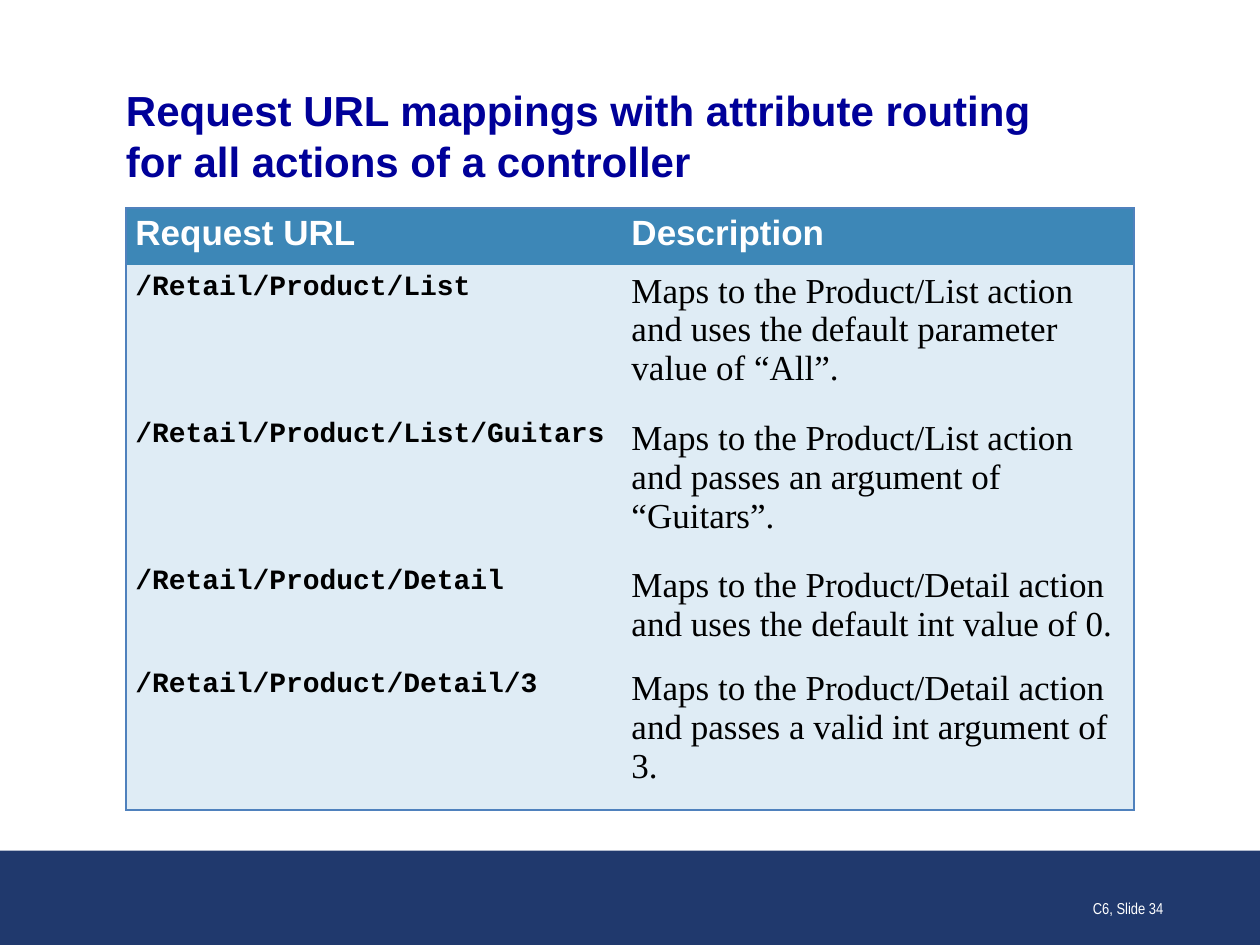
from lxml import etree
from pptx import Presentation
from pptx.dml.color import RGBColor
from pptx.enum.shapes import MSO_SHAPE
from pptx.enum.text import MSO_ANCHOR, PP_ALIGN
from pptx.oxml.ns import qn
from pptx.util import Cm, Pt

RECTANGLE = MSO_SHAPE.RECTANGLE
MIDDLE, BOTTOM = MSO_ANCHOR.MIDDLE, MSO_ANCHOR.BOTTOM
LEFT, RIGHT = PP_ALIGN.LEFT, PP_ALIGN.RIGHT

NAVY = RGBColor(0x20, 0x39, 0x6D)
TITLE_BLUE = RGBColor(0x00, 0x00, 0x99)
HEADER_BLUE = RGBColor(0x3D, 0x87, 0xB7)
PALE_BLUE = RGBColor(0xDF, 0xEC, 0xF5)
BORDER_BLUE = RGBColor(0x4F, 0x81, 0xBD)
WHITE = RGBColor(0xFF, 0xFF, 0xFF)
BLACK = RGBColor(0x00, 0x00, 0x00)

PLAIN_TABLE_STYLE = "{2D5ABB26-0587-4C30-8999-92F81FD0307C}"
CELL_MARGINS = {"margin_left": Cm(0.19), "margin_right": Cm(0.19),
                "margin_top": Cm(0.13), "margin_bottom": Cm(0.13)}
NO_MARGINS = dict.fromkeys(CELL_MARGINS, 0)

ROUTES = [
    ("Request URL", "Description"),
    ("/Retail/Product/List",
     "Maps to the Product/List action and uses the default parameter value of “All”."),
    ("/Retail/Product/List/Guitars",
     "Maps to the Product/List action and passes an argument of “Guitars”."),
    ("/Retail/Product/Detail",
     "Maps to the Product/Detail action and uses the default int value of 0."),
    ("/Retail/Product/Detail/3",
     "Maps to the Product/Detail action and passes a valid int argument of 3."),
]


def apply(target, values):
    for name, value in values.items():
        setattr(target, name, value)


class SlideBuilder:
    FONTS = {
        "title": ({"name": "Arial", "size": Pt(24), "bold": True}, TITLE_BLUE),
        "header": ({"name": "Arial", "size": Pt(20), "bold": True}, WHITE),
        "url": ({"name": "Courier New", "size": Pt(16), "bold": True}, BLACK),
        "description": ({"name": "Times New Roman", "size": Pt(20), "bold": False}, BLACK),
        "footer": ({"name": "Arial Narrow", "size": Pt(9), "bold": False}, WHITE),
    }

    def __init__(self, slide):
        self.slide = slide

    def fill_text(self, text_frame, text, style, alignment=LEFT):
        text_frame.text = text
        values, color = self.FONTS[style]
        for paragraph in text_frame.paragraphs:
            paragraph.alignment = alignment
            apply(paragraph.font, values)
            paragraph.font.color.rgb = color

    def band(self, left, top, width, height, color):
        shape = self.slide.shapes.add_shape(RECTANGLE, left, top, width, height)
        shape.shadow.inherit = False
        shape.fill.solid()
        shape.fill.fore_color.rgb = color
        shape.line.fill.background()

    def text(self, left, top, width, height, text, style, alignment=LEFT, **frame):
        text_frame = self.slide.shapes.add_textbox(left, top, width, height).text_frame
        apply(text_frame, {"word_wrap": True, **frame})
        self.fill_text(text_frame, text, style, alignment)

    def border(self, cell, sides):
        properties = cell._tc.get_or_add_tcPr()
        for index, side in enumerate(sides):
            line = etree.Element(qn("a:" + side), w=str(Pt(1)))
            fill = etree.SubElement(line, qn("a:solidFill"))
            etree.SubElement(fill, qn("a:srgbClr"), val=str(BORDER_BLUE))
            properties.insert(index, line)

    def table(self, left, top, widths, heights, rows):
        frame = self.slide.shapes.add_table(
            len(rows), len(widths), left, top, sum(widths), sum(heights))
        table = frame.table
        table._tbl.tblPr.find(qn("a:tableStyleId")).text = PLAIN_TABLE_STYLE
        for column, width in zip(table.columns, widths):
            column.width = width
        for row, height in zip(table.rows, heights):
            row.height = height

        last_row, last_column = len(rows) - 1, len(widths) - 1
        for i, values in enumerate(rows):
            for j, value in enumerate(values):
                cell = table.cell(i, j)
                apply(cell, CELL_MARGINS)
                cell.fill.solid()
                cell.fill.fore_color.rgb = PALE_BLUE if i else HEADER_BLUE
                self.fill_text(cell.text_frame, value,
                               ("url", "description")[j] if i else "header")
                # Only the outer edge of the table is ruled
                edges = {"lnL": j == 0, "lnR": j == last_column,
                         "lnT": i == 0, "lnB": i == last_row}
                self.border(cell, [side for side, ruled in edges.items() if ruled])


def main():
    presentation = Presentation()
    presentation.slide_width, presentation.slide_height = Cm(25.4), Cm(19.05)
    builder = SlideBuilder(presentation.slides.add_slide(presentation.slide_layouts[6]))

    # Footer band
    builder.band(0, Cm(17.15), Cm(25.4), Cm(1.9), NAVY)

    # Title
    builder.text(Cm(2.54), Cm(1.7), Cm(20.32), Cm(2.06),
                 "Request URL mappings with attribute routing\v"
                 "for all actions of a controller",
                 "title", vertical_anchor=MIDDLE, **NO_MARGINS)

    # Route table
    tall = Cm(2.97)
    builder.table(Cm(2.54), Cm(4.19), [Cm(10), Cm(10.32)],
                  [Cm(1.16), tall, tall, Cm(2.07), tall], ROUTES)

    # Slide number
    builder.text(Cm(18.42), Cm(17.35), Cm(5.28), Cm(1.27), "C6, Slide 34",
                 "footer", RIGHT, vertical_anchor=BOTTOM)

    presentation.save("out.pptx")


if __name__ == "__main__":
    main()
